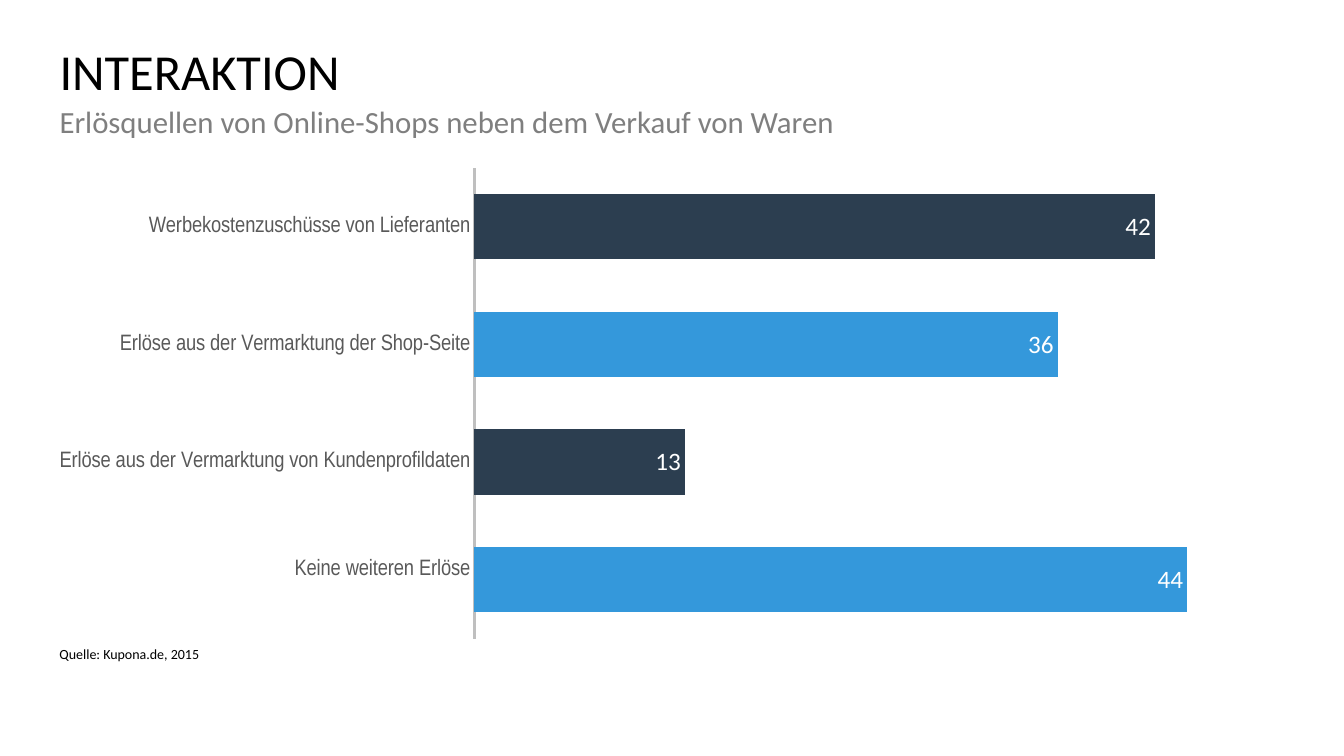
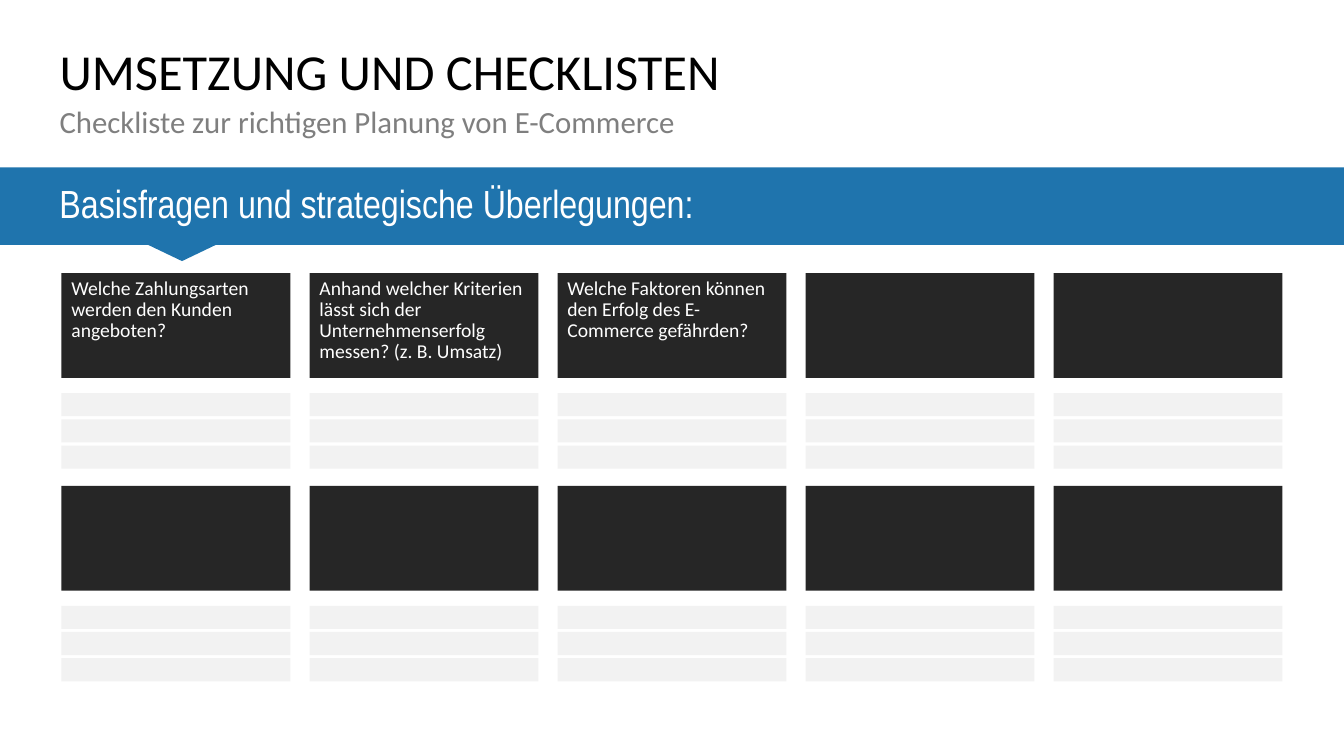
from lxml.etree import SubElement
from pptx import Presentation
from pptx.chart.data import CategoryChartData
from pptx.dml.color import RGBColor
from pptx.enum.chart import XL_CHART_TYPE, XL_LABEL_POSITION, XL_TICK_MARK
from pptx.enum.shapes import MSO_SHAPE
from pptx.enum.text import MSO_ANCHOR
from pptx.oxml.ns import qn
from pptx.util import Inches, Pt

COLORS = {
    "title": "000000", "subtitle": "7F7F7F", "label": "595959", "axis": "BFBFBF",
    "series": "A6A6A6", "light_bar": "3498DB", "dark_bar": "2C3E50",
    "band": "1F74AD", "card": "262626", "line": "F2F2F2", "white": "FFFFFF",
}
COLORS = {name: RGBColor.from_string(value) for name, value in COLORS.items()}
BODY_FONT, NARROW_FONT = "Calibri", "Arial Narrow"
MARGIN, CONTENT_WIDTH, SLIDE_WIDTH = 0.59, 12.15, 13.33


def write_text(shape, text, size, color, font=BODY_FONT, anchor=MSO_ANCHOR.TOP,
               insets=(0, 0)):
    """Fill a shape with one paragraph; insets are horizontal and vertical inches."""
    frame = shape.text_frame
    frame.word_wrap = True
    frame.vertical_anchor = anchor
    frame.margin_left = frame.margin_right = Inches(insets[0])
    frame.margin_top = frame.margin_bottom = Inches(insets[1])
    paragraph = frame.paragraphs[0]
    paragraph.text = text
    paragraph.line_spacing = 0.9
    paragraph.alignment = 1  # left
    paragraph.font.name = font
    paragraph.font.size = Pt(size)
    paragraph.font.color.rgb = COLORS[color]


def add_block(shapes, left, top, width, height, color, kind=MSO_SHAPE.RECTANGLE):
    shape = shapes.add_shape(kind, Inches(left), Inches(top), Inches(width), Inches(height))
    shape.shadow.inherit = False
    shape.fill.solid()
    shape.fill.fore_color.rgb = COLORS[color]
    shape.line.fill.background()
    return shape


presentation = Presentation()
presentation.slide_width = Inches(SLIDE_WIDTH)
presentation.slide_height = Inches(7.5)

# Slides with the shared title and subtitle
headings = [
    ("INTERAKTION", "Erlösquellen von Online-Shops neben dem Verkauf von Waren"),
    ("UMSETZUNG UND CHECKLISTEN", "Checkliste zur richtigen Planung von E-Commerce"),
]
for title, subtitle in headings:
    slide = presentation.slides.add_slide(presentation.slide_layouts[6])
    for text, top, height, size, color in (
        (title, 0.47, 1.18, 36, "title"),
        (subtitle, 1.06, 0.59, 22, "subtitle"),
    ):
        box = slide.shapes.add_textbox(
            Inches(MARGIN), Inches(top), Inches(CONTENT_WIDTH), Inches(height))
        write_text(box, text, size, color)
chart_slide, checklist_slide = presentation.slides

# Slide 1: source line
source_box = chart_slide.shapes.add_textbox(
    Inches(MARGIN), Inches(6.42), Inches(3.04), Inches(0.23))
write_text(source_box, "Quelle: Kupona.de, 2015", 10, "title")

# Slide 1: bar chart
chart_data = CategoryChartData()
chart_data.categories = [
    "Keine weiteren Erlöse\n",
    "Erlöse aus der Vermarktung von Kundenprofildaten",
    "Erlöse aus der Vermarktung der Shop-Seite",
    "Werbekostenzuschüsse von Lieferanten",
]
chart_data.add_series("Series 1", (44, 13, 36, 42))
chart = chart_slide.shapes.add_chart(
    XL_CHART_TYPE.BAR_STACKED, Inches(MARGIN), Inches(1.65),
    Inches(CONTENT_WIDTH), Inches(4.7), chart_data).chart
chart.has_title = False
chart.has_legend = False
chart.font.name = BODY_FONT
chart.font.size = Pt(18)
chart.font.color.rgb = COLORS["title"]

category_axis = chart.category_axis
category_axis.major_tick_mark = XL_TICK_MARK.NONE
category_axis.format.line.color.rgb = COLORS["axis"]
category_axis.format.line.width = Pt(2)
category_axis.tick_labels.font.name = NARROW_FONT
category_axis.tick_labels.font.size = Pt(16)
category_axis.tick_labels.font.color.rgb = COLORS["label"]

value_axis = chart.value_axis
value_axis.minimum_scale = 0
value_axis.maximum_scale = 50
value_axis.has_major_gridlines = False
value_axis.visible = False

plot = chart.plots[0]
plot.gap_width = 80
plot.overlap = 100
plot.vary_by_categories = False
series = plot.series[0]
series.format.fill.solid()
series.format.fill.fore_color.rgb = COLORS["series"]
for index in range(4):
    fill = series.points[index].format.fill
    fill.solid()
    fill.fore_color.rgb = COLORS["dark_bar" if index % 2 else "light_bar"]

labels = series.data_labels
labels.show_value = True
labels.position = XL_LABEL_POSITION.INSIDE_END
labels.font.name = BODY_FONT
labels.font.size = Pt(18)
labels.font.color.rgb = COLORS["white"]

# Fixed plot area, leaving the left third for the category labels
plot_area = chart.plots[0]._element.getparent()
for old_layout in plot_area.findall(qn("c:layout")):
    plot_area.remove(old_layout)
layout = SubElement(plot_area, qn("c:layout"))
plot_area.insert(0, layout)
manual_layout = SubElement(layout, qn("c:manualLayout"))
for tag, value in (
    ("layoutTarget", "inner"), ("xMode", "edge"), ("yMode", "edge"),
    ("x", "0.338"), ("y", "0"), ("w", "0.662"), ("h", "1"),
):
    SubElement(manual_layout, qn(f"c:{tag}")).set("val", value)

# Slide 2: band with pointer
band_group = checklist_slide.shapes.add_group_shape()
band = add_block(band_group.shapes, 0, 1.66, SLIDE_WIDTH, 0.77, "band")
write_text(band, "Basisfragen und strategische Überlegungen:", 28, "white",
           font=NARROW_FONT, anchor=MSO_ANCHOR.MIDDLE, insets=(MARGIN, 0))
pointer = add_block(band_group.shapes, 1.45, 2.42, 0.71, 0.17, "band",
                    MSO_SHAPE.ISOSCELES_TRIANGLE)
pointer.rotation = 180

# Slide 2: grid of question cards, each with three answer lines
questions = [
    "Welche Zahlungsarten werden den Kunden angeboten?",
    "Anhand welcher Kriterien lässt sich der Unternehmenserfolg messen? (z. B. Umsatz)",
    "Welche Faktoren können den Erfolg des E-Commerce gefährden?",
]
COLUMNS, ROWS, ANSWER_LINES = 5, 2, 3
CARD_WIDTH, CARD_HEIGHT = 2.27, 1.04
COLUMN_PITCH, ROW_PITCH, LINE_PITCH = 2.46, 2.11, 0.26
for card_number in range(COLUMNS * ROWS):
    row, column = divmod(card_number, COLUMNS)
    left = 0.61 + column * COLUMN_PITCH
    top = 2.71 + row * ROW_PITCH
    card = add_block(checklist_slide.shapes, left, top, CARD_WIDTH, CARD_HEIGHT, "card")
    if card_number < len(questions):
        write_text(card, questions[card_number], 14, "white", insets=(0.1, 0.05))
    answer_group = checklist_slide.shapes.add_group_shape()
    for line in range(ANSWER_LINES):
        add_block(answer_group.shapes, left, top + 1.19 + line * LINE_PITCH,
                  CARD_WIDTH, 0.23, "line")

presentation.save("out.pptx")
